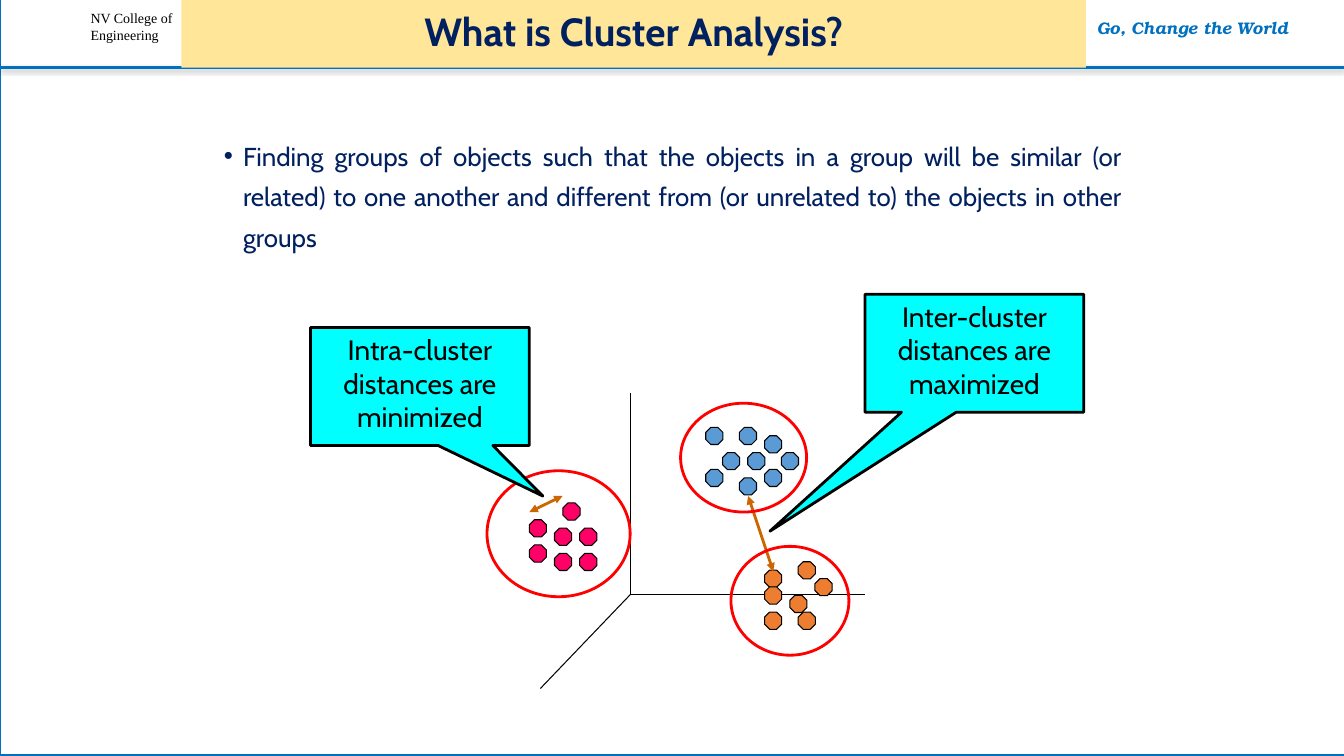
import pptx
import pptx.dml.color
import pptx.enum.shapes
import pptx.enum.text
import pptx.oxml
import pptx.oxml.ns
import pptx.util

Inches = pptx.util.Inches
Pt = pptx.util.Pt
RGBColor = pptx.dml.color.RGBColor
Shape = pptx.enum.shapes.MSO_SHAPE
Align = pptx.enum.text.PP_ALIGN
Anchor = pptx.enum.text.MSO_ANCHOR
AutoSize = pptx.enum.text.MSO_AUTO_SIZE

WHITE = RGBColor(0xFF, 0xFF, 0xFF)
BLACK = RGBColor(0x00, 0x00, 0x00)
BLUE = RGBColor(0x00, 0x70, 0xC0)
NAVY = RGBColor(0x00, 0x20, 0x60)
CREAM = RGBColor(0xFF, 0xE6, 0x99)
CYAN = RGBColor(0x00, 0xFF, 0xFF)
RED = RGBColor(0xFF, 0x00, 0x00)
BROWN = RGBColor(0xCC, 0x66, 0x00)
DOT_BLUE = RGBColor(0x5B, 0x9B, 0xD5)
DOT_PINK = RGBColor(0xFF, 0x00, 0x66)
DOT_ORANGE = RGBColor(0xED, 0x7D, 0x31)

THIN, THICK = 0.75, 2
DOT_SIZE = 0.17
GRID_LEFT, GRID_TOP, GRID_STEP = 5.25, 4.24, 1 / 12

SHADOW = (
    '<a:outerShdw blurRad="40000" dist="20000" dir="5400000" rotWithShape="0">'
    '<a:srgbClr val="000000"><a:alpha val="38000"/></a:srgbClr></a:outerShdw>'
)

CLUSTERS = [
    (DOT_BLUE, [(23, 3), (26, 3), (25, 0), (25, 6), (30, 3), (28, 1), (21, 0), (28, 5), (21, 5)]),
    (DOT_PINK, [(0, 11), (3, 12), (3, 15), (6, 12), (4, 9), (6, 15), (0, 14)]),
    (DOT_ORANGE, [(28, 17), (34, 18), (31, 20), (28, 22), (32, 22), (28, 19), (32, 16)]),
]


class SlideBuilder:
    body_font = "Cabin"

    def __init__(self, slide):
        self.slide = slide

    def apply(self, target, values):
        for name, value in values.items():
            setattr(target, name, value)

    def element(self, tag, content="", attributes=""):
        namespace = pptx.oxml.ns.nsdecls("a")
        return pptx.oxml.parse_xml(f"<a:{tag} {namespace} {attributes}>{content}</a:{tag}>")

    def place(self, shape, box):
        self.apply(shape, dict(zip(("left", "top", "width", "height"), map(Inches, box))))

    def set_text(self, shape, lines, size, color, font=None, bold=False, italic=False, frame=None, **layout):
        self.apply(shape.text_frame, {"word_wrap": True, "auto_size": AutoSize.NONE, **(frame or {})})
        shape.text_frame.text = "\n".join(lines)
        for paragraph in shape.text_frame.paragraphs:
            self.apply(paragraph, layout)
            run_font = paragraph.runs[0].font
            self.apply(run_font, {"name": font or self.body_font, "size": Pt(size),
                                  "bold": bold, "italic": italic})
            run_font.color.rgb = color

    def label(self, box, lines, size, color, **style):
        self.set_text(self.slide.shapes.add_textbox(*map(Inches, box)), lines, size, color, **style)

    def placeholder(self, index, box, text, size, **style):
        shape = self.slide.placeholders[index]
        shape.element.getparent().append(shape.element)
        self.place(shape, box)
        self.set_text(shape, [text], size, NAVY, **style)
        return shape

    def title(self, box, text):
        shape = self.placeholder(0, box, text, 28, bold=True, alignment=Align.CENTER,
                                 line_spacing=0.9, frame={"vertical_anchor": Anchor.MIDDLE})
        shape.fill.solid()
        shape.fill.fore_color.rgb = CREAM

    def bullet(self, box, text):
        shape = self.placeholder(1, box, text, 18.5, alignment=Align.JUSTIFY, line_spacing=1.3,
                                 space_before=Pt(7.5), frame={"vertical_anchor": Anchor.TOP})
        properties = shape.text_frame.paragraphs[0]._p.get_or_add_pPr()
        properties.set("marL", str(Inches(0.19)))
        properties.set("indent", str(Inches(-0.19)))
        properties.append(self.element("buFont", attributes='typeface="Arial"'))
        properties.append(self.element("buChar", attributes='char="•"'))

    def shape(self, kind, box, fill, line, width):
        shape = self.slide.shapes.add_shape(kind, *map(Inches, box))
        shape.shadow.inherit = False
        if fill is None:
            shape.fill.background()
        else:
            shape.fill.solid()
            shape.fill.fore_color.rgb = fill
        shape.line.color.rgb = line
        shape.line.width = Pt(width)
        return shape

    def dot(self, column, row, color):
        left, top = GRID_LEFT + column * GRID_STEP, GRID_TOP + row * GRID_STEP
        self.shape(Shape.OCTAGON, (left, top, DOT_SIZE, DOT_SIZE), color, BLACK, THIN)

    def callout(self, box, text, pointer):
        shape = self.shape(Shape.RECTANGULAR_CALLOUT, box, CYAN, BLACK, THICK)
        for index, value in enumerate(pointer):
            shape.adjustments[index] = value
        self.set_text(shape, [text], 20, BLACK, alignment=Align.CENTER,
                      frame={"vertical_anchor": Anchor.TOP})

    def line(self, start, end, color, width, arrows=False, effect=""):
        straight = pptx.enum.shapes.MSO_CONNECTOR.STRAIGHT
        connector = self.slide.shapes.add_connector(straight, *map(Inches, start + end))
        connector.line.color.rgb = color
        connector.line.width = Pt(width)
        properties = connector.element.spPr
        if arrows:
            outline = properties.find(pptx.oxml.ns.qn("a:ln"))
            for tag in ("headEnd", "tailEnd"):
                outline.append(self.element(tag, attributes='type="triangle"'))
        properties.append(self.element("effectLst", effect))


def main():
    presentation = pptx.Presentation()
    presentation.slide_width = Inches(13.33)
    presentation.slide_height = Inches(7.5)
    builder = SlideBuilder(presentation.slides.add_slide(presentation.slide_layouts[1]))

    builder.shape(Shape.RECTANGLE, (0, -0.01, 13.38, 7.5), WHITE, BLUE, THICK)
    builder.label((0.8, 0.05, 1.47, 0.44), ["NV College of", "Engineering"], 10, BLACK,
                  font="Times New Roman")
    builder.line((0, 0.67), (13.33, 0.67), BLUE, THICK, effect=SHADOW)
    builder.label((10.33, 0.13, 3, 0.3), ["Go, Change the World"], 12, BLUE,
                  font="TeX Gyre Bonum", bold=True, italic=True, alignment=Align.CENTER)
    builder.title((1.8, 0, 8.97, 0.67), "What is Cluster Analysis?")
    builder.bullet((2.12, 1.25, 9.1, 1.42),
                   "Finding groups of objects such that the objects in a group will be similar "
                   "(or related) to one another and different from (or unrelated to) the objects "
                   "in other groups")

    origin = (6.25, 5.9)
    for axis_end in ((6.25, 3.9), (8.58, 5.9), (5.36, 6.83)):
        builder.line(origin, axis_end, BLACK, THIN)
    for color, cells in CLUSTERS:
        for column, row in cells:
            builder.dot(column, row, color)

    builder.line((7.67, 5.67), (7.42, 4.92), BROWN, THICK, arrows=True)
    builder.callout((8.58, 2.92, 2.17, 1.17), "Inter-cluster distances are maximized", (-0.935, 1.509))
    for ring in ((4.83, 4.67, 1.42, 1.25), (6.75, 4, 1.25, 1.08), (7.25, 5.42, 1.17, 1.08)):
        builder.shape(Shape.OVAL, ring, None, RED, THICK)
    builder.line((5.25, 5.08), (5.58, 4.92), BROWN, THICK, arrows=True)
    builder.callout((3.08, 3.25, 2.17, 1.17), "Intra-cluster distances are minimized", (0.562, 0.929))

    presentation.save("out.pptx")


if __name__ == "__main__":
    main()
